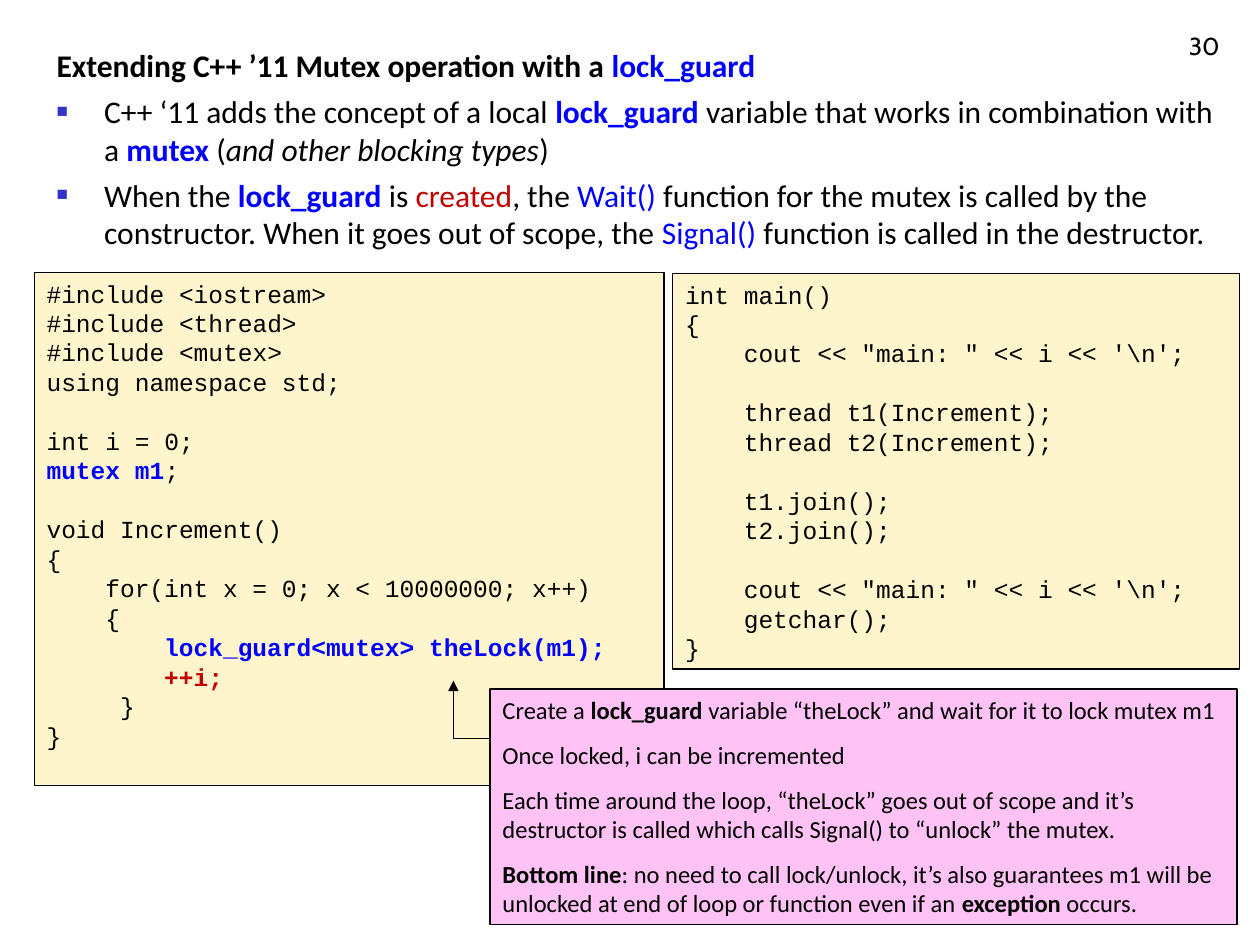
from lxml.etree import SubElement
from pptx import Presentation
from pptx.dml.color import RGBColor
from pptx.enum.shapes import MSO_CONNECTOR, MSO_SHAPE
from pptx.enum.text import MSO_ANCHOR, PP_ALIGN
from pptx.oxml.ns import qn
from pptx.util import Cm, Pt

BLACK = RGBColor(0x00, 0x00, 0x00)
BLUE = RGBColor(0x00, 0x00, 0xFF)
RED = RGBColor(0xC0, 0x00, 0x00)
BULLET = RGBColor(0x33, 0x33, 0xCC)
CREAM = RGBColor(0xFF, 0xF5, 0xCC)
PINK = RGBColor(0xFE, 0xC2, 0xF5)

# Code metrics at 14 pt: width of a character, height of a line
CODE_CHAR, CODE_LINE = 8.4, 16.85

# Span formats
PLAIN = {}
BOLD = {"bold": True}
ITALIC = {"italic": True}
KEY = {"color": BLUE}
KEY_BOLD = {"color": BLUE, "bold": True}
ALERT = {"color": RED}
ALERT_BOLD = {"color": RED, "bold": True}

HEADING = [("Extending C++ ’11 Mutex operation with a ", BOLD), ("lock_guard", KEY_BOLD)]
POINTS = [
    [("C++ ‘11 adds the concept of a local ", PLAIN), ("lock_guard", KEY_BOLD),
     (" variable that works in combination with a ", PLAIN), ("mutex", KEY_BOLD),
     (" (", PLAIN), ("and other blocking types", ITALIC), (")", PLAIN)],
    [("When the ", PLAIN), ("lock_guard", KEY_BOLD), (" is ", PLAIN), ("created", ALERT),
     (", the ", PLAIN), ("Wait()", KEY),
     (" function for the mutex is called by the constructor. "
      "When it goes out of scope, the ", PLAIN),
     ("Signal()", KEY), (" function is called in the destructor.", PLAIN)],
]

THREAD_CODE = """\
#include <iostream>
#include <thread>
#include <mutex>
using namespace std;

int i = 0;
mutex m1;

void Increment()
{
    for(int x = 0; x < 10000000; x++)
    {
        lock_guard<mutex> theLock(m1);
        ++i;
     }
}"""
THREAD_MARKS = {
    "mutex m1;": [("mutex m1", KEY_BOLD), (";", PLAIN)],
    "lock_guard<mutex> theLock(m1);": [("lock_guard<mutex> theLock(m1);", KEY_BOLD)],
    "++i;": [("++i;", ALERT_BOLD)],
}

MAIN_CODE = r"""int main()
{
    cout << "main: " << i << '\n';

    thread t1(Increment);
    thread t2(Increment);

    t1.join();
    t2.join();

    cout << "main: " << i << '\n';
    getchar();
}"""

NOTES = [
    [("Create a ", PLAIN), ("lock_guard", BOLD),
     (" variable “theLock” and wait for it to lock mutex m1", PLAIN)],
    [("Once locked, i can be incremented", PLAIN)],
    [("Each time around the loop, “theLock” goes out of scope and it’s destructor "
      "is called which calls Signal() to “unlock” the mutex.", PLAIN)],
    [("Bottom line", BOLD),
     (": no need to call lock/unlock, it’s also guarantees m1 will be unlocked "
      "at end of loop or function even if an ", PLAIN),
     ("exception", BOLD), (" occurs.", PLAIN)],
]


def add_para(frame, spans, font, size, **layout):
    """Write spans into the next free paragraph of the frame."""
    para = frame.paragraphs[0]
    if para.runs:
        para = frame.add_paragraph()
    for name, value in layout.items():
        setattr(para, name, value)
    for text, style in spans:
        span = para.add_run()
        span.text = text
        values = {"name": font, "size": Pt(size), "bold": False, "italic": False, **style}
        span.font.color.rgb = values.pop("color", BLACK)
        for name, value in values.items():
            setattr(span.font, name, value)
    return para


def set_indent(para, left, first=0):
    properties = para._p.get_or_add_pPr()
    properties.set("marL", str(int(left)))
    properties.set("indent", str(int(first)))
    return properties


def add_bullet(para):
    properties = set_indent(para, Cm(0.96), -Cm(0.96))
    color = SubElement(properties, qn("a:buClr"))
    SubElement(color, qn("a:srgbClr"), val=str(BULLET))
    SubElement(properties, qn("a:buSzPct"), val="60000")
    SubElement(properties, qn("a:buFont"), typeface="Arial")
    SubElement(properties, qn("a:buChar"), char="■")


def add_text_frame(page, left, top, width, height):
    box = page.shapes.add_textbox(Cm(left), Cm(top), Cm(width), Cm(height))
    box.text_frame.word_wrap = True
    return box.text_frame


def add_panel(page, left, top, width, height, fill):
    """Outlined rectangle holding left-aligned text from the top."""
    box = page.shapes.add_shape(MSO_SHAPE.RECTANGLE, Cm(left), Cm(top), Cm(width), Cm(height))
    box.shadow.inherit = False
    box.fill.solid()
    box.fill.fore_color.rgb = fill
    box.line.color.rgb = BLACK
    box.line.width = Pt(0.75)
    box.text_frame.word_wrap = True
    box.text_frame.vertical_anchor = MSO_ANCHOR.TOP
    return box.text_frame


def add_page_number(page, left, top, width, height):
    frame = add_text_frame(page, left, top, width, height)
    frame.vertical_anchor = MSO_ANCHOR.BOTTOM
    add_para(frame, [("30", PLAIN)], "Cabin", 14, alignment=PP_ALIGN.RIGHT)


def add_body(page, left, top, width, height):
    frame = add_text_frame(page, left, top, width, height)
    add_para(frame, HEADING, "Calibri", 18, space_before=Pt(4.5))
    for spans in POINTS:
        add_bullet(add_para(frame, spans, "Calibri", 18, space_before=Pt(4.5)))


def add_code(page, left, top, width, height, code, marks):
    """Code listing: leading spaces become indents, empty lines become spacing."""
    frame = add_panel(page, left, top, width, height, CREAM)
    gap = 0
    for line in code.splitlines():
        text = line.lstrip()
        if not text:
            gap += CODE_LINE
            continue
        para = add_para(frame, marks.get(text, [(text, PLAIN)]), "Courier New", 14,
                        alignment=PP_ALIGN.LEFT, line_spacing=Pt(CODE_LINE),
                        space_before=Pt(gap))
        set_indent(para, Pt(CODE_CHAR * (len(line) - len(text))))
        gap = 0


def add_arrow(page, left, top, width, height):
    """Elbow of two lines: along the bottom to the left, then up to the head."""
    right, bottom = left + width, top + height
    corners = [(right, bottom), (left, bottom), (left, top)]
    for start, end in zip(corners, corners[1:]):
        line = page.shapes.add_connector(MSO_CONNECTOR.STRAIGHT, *map(Cm, start + end))
        line.line.color.rgb = BLACK
        line.line.width = Pt(0.75)
        SubElement(line._element.spPr, qn("a:effectLst"))
    SubElement(line.line._get_or_add_ln(), qn("a:tailEnd"), type="triangle")


def add_notes_panel(page, left, top, width, height):
    frame = add_panel(page, left, top, width, height, PINK)
    for spans in NOTES:
        add_para(frame, spans, "Calibri", 14, alignment=PP_ALIGN.LEFT, space_before=Pt(8.8))


def main():
    deck = Presentation()
    deck.slide_width, deck.slide_height = Cm(25.4), Cm(19.05)
    page = deck.slides.add_slide(deck.slide_layouts[6])
    add_body(page, 0.89, 0.81, 23.98, 17.7)
    add_page_number(page, 19.56, 0.08, 5.28, 1.27)
    add_code(page, 13.56, 5.51, 11.43, 7.98, MAIN_CODE, {})
    add_code(page, 0.69, 5.49, 12.7, 10.34, THREAD_CODE, THREAD_MARKS)
    add_arrow(page, 9.14, 13.72, 5.16, 1.17)
    add_notes_panel(page, 9.88, 13.89, 15.06, 4.75)
    deck.save("out.pptx")


if __name__ == "__main__":
    main()
